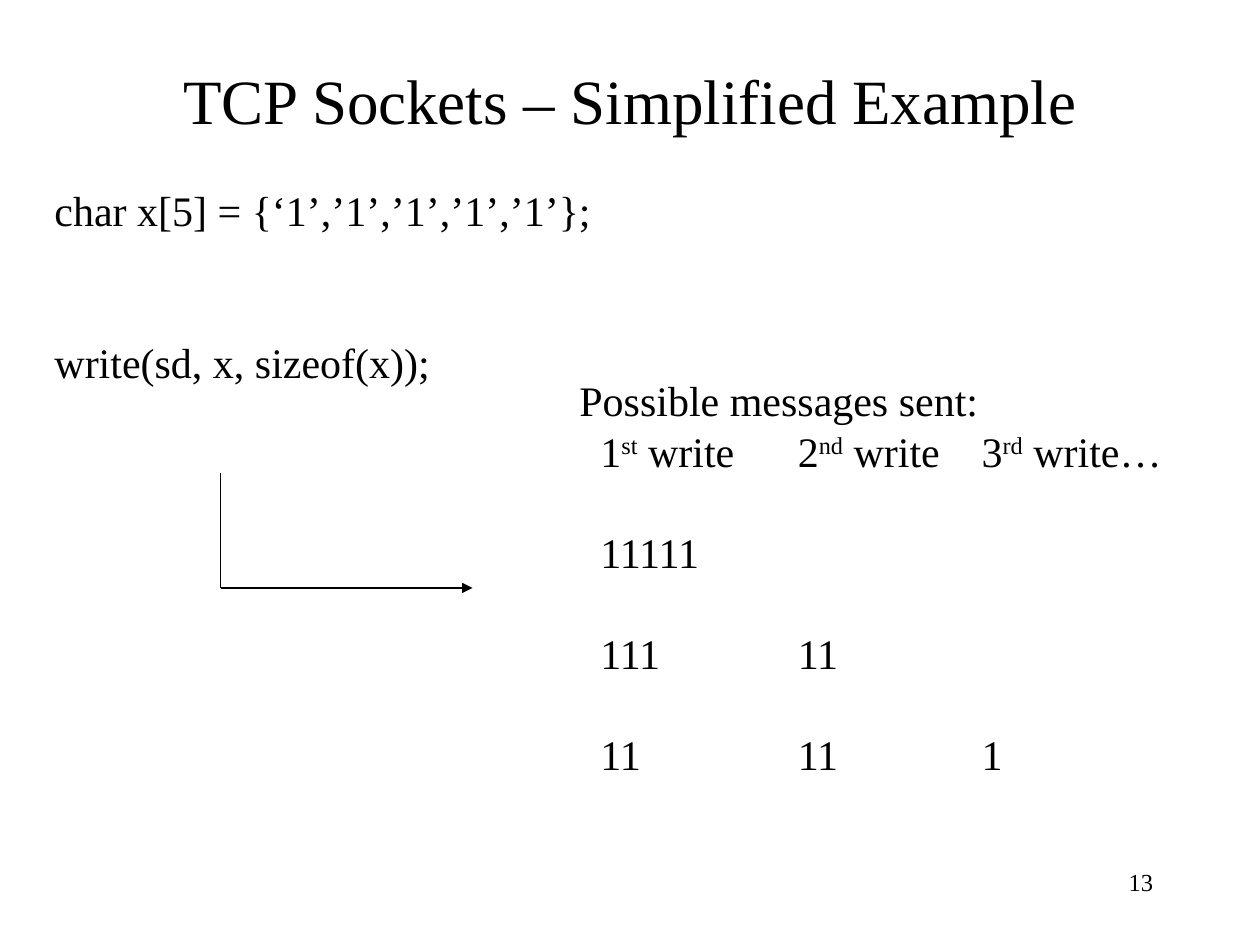
from dataclasses import dataclass
from typing import NamedTuple

from lxml import etree
from pptx import Presentation, util as u
from pptx.dml.color import RGBColor
from pptx.enum import shapes, text
from pptx.oxml.ns import qn

SLIDE_WIDTH, SLIDE_HEIGHT = u.Inches(10), u.Inches(7.5)
COLUMNS, ROWS = 120, 90


@dataclass(frozen=True)
class Theme:
    font: str = "Times New Roman"
    ink: RGBColor = RGBColor(0, 0, 0)
    title: float = 36
    body: float = 24
    number: float = 14
    pitch: float = 28.9
    rule: float = 0.75


THEME = Theme()


class Area(NamedTuple):
    """Place on the slide grid, in columns and rows."""
    left: float
    top: float
    width: float
    height: float


class Piece(NamedTuple):
    words: str
    raised: bool = False


class Line(NamedTuple):
    pieces: tuple[Piece, ...]
    gap: int = 0  # line heights left free above


class Point(NamedTuple):
    column: float
    row: float


MESSAGE_STOPS = (2, 20.8, 38.3)  # grid columns from the text edge

CODE = (
    Line((Piece("char x[5] = {‘1’,’1’,’1’,’1’,’1’};"),)),
    Line((Piece("write(sd, x, sizeof(x));"),), gap=2),
)
WRITES = (("1", "st", " write"), ("2", "nd", " write"), ("3", "rd", " write…"))
SPLITS = (("11111",), ("111", "11"), ("11", "11", "1"))


def across(columns: float) -> int:
    return round(SLIDE_WIDTH * columns / COLUMNS)


def down(rows: float) -> int:
    return round(SLIDE_HEIGHT * rows / ROWS)


def message_lines() -> tuple[Line, ...]:
    headings = tuple(
        piece
        for count, suffix, verb in WRITES
        for piece in (Piece("\t" + count), Piece(suffix, raised=True), Piece(verb))
    )
    splits = (
        Line(tuple(Piece("\t" + part) for part in parts), gap=1) for parts in SPLITS
    )
    return (Line((Piece("Possible messages sent:"),)), Line(headings), *splits)


def add_tab_stops(paragraph, stops: tuple[float, ...]) -> None:
    stop_list = etree.SubElement(paragraph._p.get_or_add_pPr(), qn("a:tabLst"))
    for stop in stops:
        etree.SubElement(stop_list, qn("a:tab"), pos=str(across(stop)), algn="l")


def add_text(slide, area: Area, lines: tuple[Line, ...], size: float,
             align=text.PP_ALIGN.LEFT, anchor=text.MSO_ANCHOR.TOP,
             pitch: float | None = None, stops: tuple[float, ...] = (),
             lead: float = 0) -> None:
    """Set lines in a text box; lead is free height above them in points."""
    box = slide.shapes.add_textbox(
        across(area.left), down(area.top), across(area.width), down(area.height))
    frame = box.text_frame
    frame.word_wrap = True
    frame.vertical_anchor = anchor
    frame.margin_top = u.Inches(0.05) + u.Pt(lead)
    for index, line in enumerate(lines):
        paragraph = frame.add_paragraph() if index else frame.paragraphs[0]
        paragraph.alignment = align
        if pitch:
            paragraph.line_spacing = u.Pt(pitch)
            paragraph.space_before = u.Pt(line.gap * pitch)
        if stops:
            add_tab_stops(paragraph, stops)
        for piece in line.pieces:
            run = paragraph.add_run()
            run.text = piece.words
            run.font.name = THEME.font
            run.font.size = u.Pt(size)
            run.font.color.rgb = THEME.ink
            if piece.raised:
                run.font._element.set("baseline", "30000")


def add_line(slide, start: Point, end: Point, arrow: bool = False) -> None:
    connector = slide.shapes.add_connector(
        shapes.MSO_CONNECTOR.STRAIGHT,
        across(start.column), down(start.row), across(end.column), down(end.row))
    connector.line.color.rgb = THEME.ink
    connector.line.width = u.Pt(THEME.rule)
    if arrow:
        etree.SubElement(connector.line._get_or_add_ln(), qn("a:tailEnd"),
                         type="triangle")
    etree.SubElement(connector._element.spPr, qn("a:effectLst"))


def main() -> None:
    deck = Presentation()
    deck.slide_width, deck.slide_height = SLIDE_WIDTH, SLIDE_HEIGHT
    slide = deck.slides.add_slide(deck.slide_layouts[6])

    add_text(slide, Area(9, 2, 102, 15),
             (Line((Piece("TCP Sockets – Simplified Example"),)),), THEME.title,
             align=text.PP_ALIGN.CENTER, anchor=text.MSO_ANCHOR.MIDDLE)
    add_text(slide, Area(4, 17, 56, 30), CODE, THEME.body, pitch=THEME.pitch)
    add_text(slide, Area(54, 30.25, 63, 49.2), message_lines(), THEME.body,
             pitch=THEME.pitch, stops=MESSAGE_STOPS, lead=THEME.pitch)

    corner = Point(21, 56)
    add_line(slide, corner, Point(45, corner.row), arrow=True)
    add_line(slide, Point(corner.column, 45), corner)

    add_text(slide, Area(86, 82, 25, 6), (Line((Piece("13"),)),), THEME.number,
             align=text.PP_ALIGN.RIGHT)
    deck.save("out.pptx")


if __name__ == "__main__":
    main()
